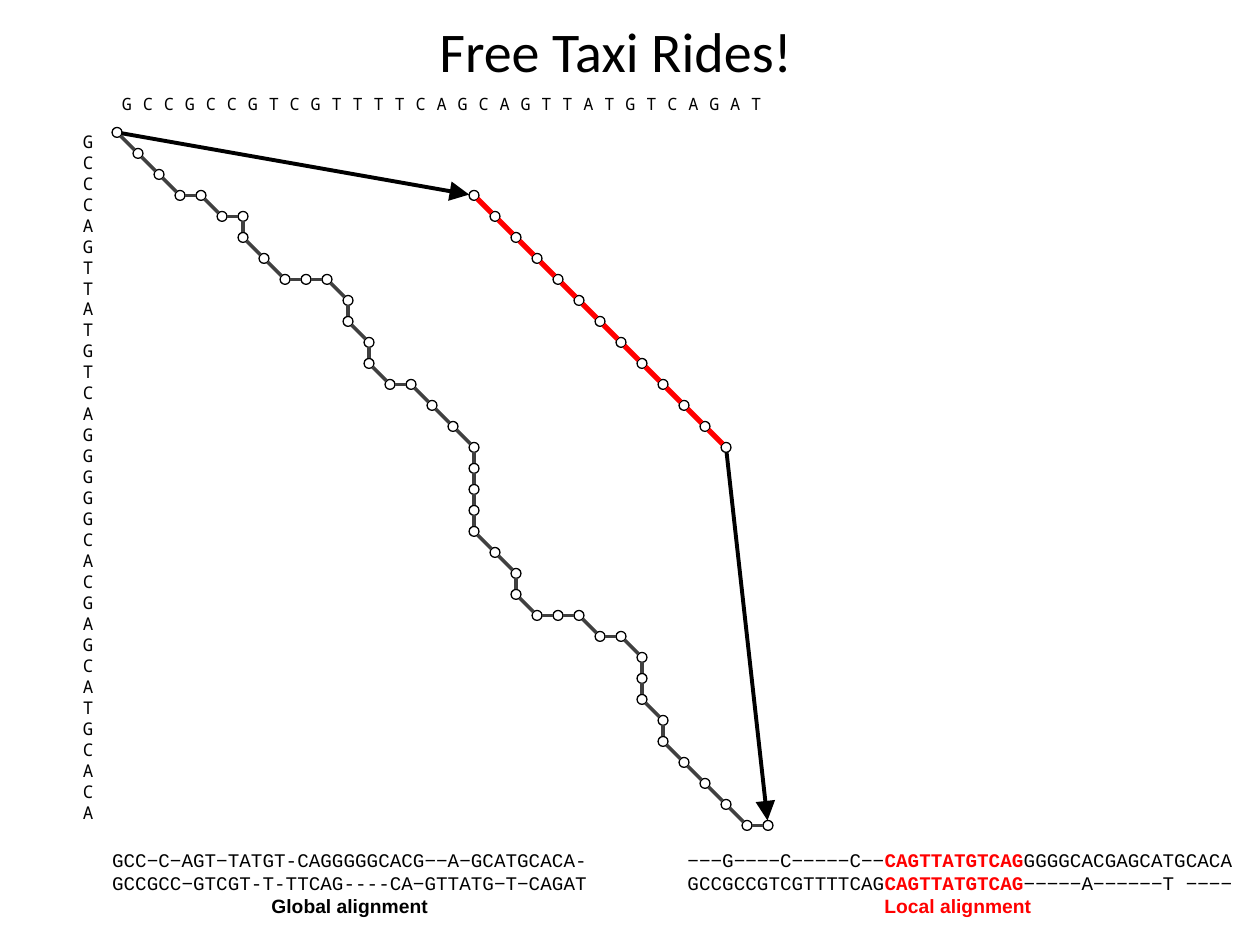
from itertools import accumulate, pairwise
from math import hypot

from lxml.etree import SubElement
from pptx import Presentation
from pptx.dml.color import RGBColor
from pptx.enum.shapes import MSO_CONNECTOR, MSO_SHAPE
from pptx.enum.text import MSO_ANCHOR, PP_ALIGN
from pptx.oxml.ns import qn
from pptx.util import Cm, Pt

STEP = 2.54 / 6
LEFT, TOP = 2.36, 2.67
RADIUS = 0.1
MOVES = {"D": (1, 1), "R": (1, 0), "V": (0, 1)}
GLOBAL = "DDDRDRVDDRRDVDVDRDDDVVVVDDVDRRDRDVVDVDDDDR"
LOCAL = "D" * 12
BLACK, GREY, RED, WHITE = "000000", "404040", "FF0000", "FFFFFF"
MONO = "Noto Sans Mono"


def hue(code):
    return RGBColor.from_string(code)


def apply(target, values):
    for key, value in values.items():
        setattr(target, key, value)


def trace(start, moves):
    cells = accumulate(
        (MOVES[move] for move in moves),
        lambda cell, move: (cell[0] + move[0], cell[1] + move[1]),
        initial=start,
    )
    return [(LEFT + col * STEP, TOP + row * STEP) for col, row in cells]


class Sketch:
    def __init__(self, slide):
        self.slide = slide
        self.base = {"size": Pt(11), "name": "Courier New", "bold": False}

    def text(self, box, lines, font={}, para={}, pad={}, track=None, **frame):
        area = self.slide.shapes.add_textbox(*map(Cm, box)).text_frame
        apply(area, {"word_wrap": True, **frame})
        for index, (runs, form) in enumerate(lines):
            item = area.add_paragraph() if index else area.paragraphs[0]
            for key, value in {**pad, **form.get("pad", {})}.items():
                item._p.get_or_add_pPr().set(key, str(Cm(value)))
            apply(item, {**para, **form.get("para", {})})
            for words, tone in runs:
                run = item.add_run()
                run.text = words
                apply(run.font, {**self.base, **font, **form.get("font", {})})
                run.font.color.rgb = hue(tone)
                if tone == RED:
                    run.font.bold = True
                if track:
                    run._r.get_or_add_rPr().set("spc", str(track))

    def node(self, spot, fill=WHITE):
        x, y = spot
        side = Cm(2 * RADIUS)
        dot = self.slide.shapes.add_shape(
            MSO_SHAPE.OVAL, Cm(x - RADIUS), Cm(y - RADIUS), side, side
        )
        dot.shadow.inherit = False
        if fill:
            dot.fill.solid()
            dot.fill.fore_color.rgb = hue(fill)
        else:
            dot.fill.background()
        dot.line.color.rgb = hue(BLACK)
        dot.line.width = Pt(0.75)

    def link(self, start, end, tone, width, arrow=False):
        (ax, ay), (bx, by) = start, end
        span = hypot(bx - ax, by - ay)
        dx, dy = RADIUS * (bx - ax) / span, RADIUS * (by - ay) / span
        ends = map(Cm, (ax + dx, ay + dy, bx - dx, by - dy))
        line = self.slide.shapes.add_connector(MSO_CONNECTOR.STRAIGHT, *ends)
        line.line.color.rgb = hue(tone)
        line.line.width = Pt(width)
        if arrow:
            head = {"type": "triangle", "w": "lg", "len": "lg"}
            SubElement(line.line._get_or_add_ln(), qn("a:tailEnd"), head)
        SubElement(line._element.spPr, qn("a:effectLst"))

    def chain(self, spots, tone, width):
        for start, end in pairwise(spots):
            self.link(start, end, tone, width)


def main():
    deck = Presentation()
    deck.slide_width, deck.slide_height = Cm(25.4), Cm(19.05)
    art = Sketch(deck.slides.add_slide(deck.slide_layouts[6]))
    center = {"alignment": PP_ALIGN.CENTER}
    tight = {"line_spacing": Pt(12)}
    label = {"name": "Arial", "bold": True}

    art.text(
        (1.2, 0.38, 22.43, 1.27), [([("Free Taxi Rides!", BLACK)], {})],
        {"size": Pt(32), "name": "Calibri"}, center,
        vertical_anchor=MSO_ANCHOR.MIDDLE,
    )
    down = "GCCCAGTTATGTCAGGGGGCACGAGCATGCACA"
    art.text(
        (1.42, 2.51, 0.89, 14.78), [([(base, BLACK)], {}) for base in down],
        {"size": Pt(10), "name": MONO}, tight,
    )
    across = " ".join("GCCGCCGTCGTTTTCAGCAGTTATGTCAGAT")
    art.text(
        (1.42, 1.75, 16.46, 0.69), [([(across, BLACK)], {})],
        {"size": Pt(9.7), "name": MONO}, tight, {"indent": 0.79}, 17,
    )

    whole, part = trace((0, 0), GLOBAL), trace((17, 3), LOCAL)
    art.node(whole[0], None)
    for spot in whole[1:] + part:
        art.node(spot)
    art.chain(whole, GREY, 2)
    art.chain(part, RED, 3)
    art.link(whole[0], part[0], BLACK, 2.25, True)
    art.link(part[-1], whole[-1], BLACK, 2.25, True)

    art.text(
        (2.01, 16.97, 10.19, 1.68),
        [
            ([("GCC−C−AGT−TATGT-CAGGGGGCACG−−A−GCATGCACA-", BLACK)], {}),
            ([("GCCGCC−GTCGT-T-TTCAG----CA−GTTATG−T−CAGAT", BLACK)], {}),
            ([("Global alignment", BLACK)], {"font": label, "para": center}),
        ],
        word_wrap=False,
    )
    match = ("CAGTTATGTCAG", RED)
    art.text(
        (13.61, 16.97, 11.61, 1.68),
        [
            ([("−−−G−−−−C−−−−−C−−", BLACK), match, ("GGGGCACGAGCATGCACA", BLACK)], {}),
            ([("GCCGCCGTCGTTTTCAG", BLACK), match, ("−−−−−A−−−−−−T −−−−", BLACK)], {}),
            ([("Local alignment", RED)], {"font": label, "pad": {"marL": 3.97}}),
        ],
        word_wrap=False,
    )
    deck.save("out.pptx")


if __name__ == "__main__":
    main()
